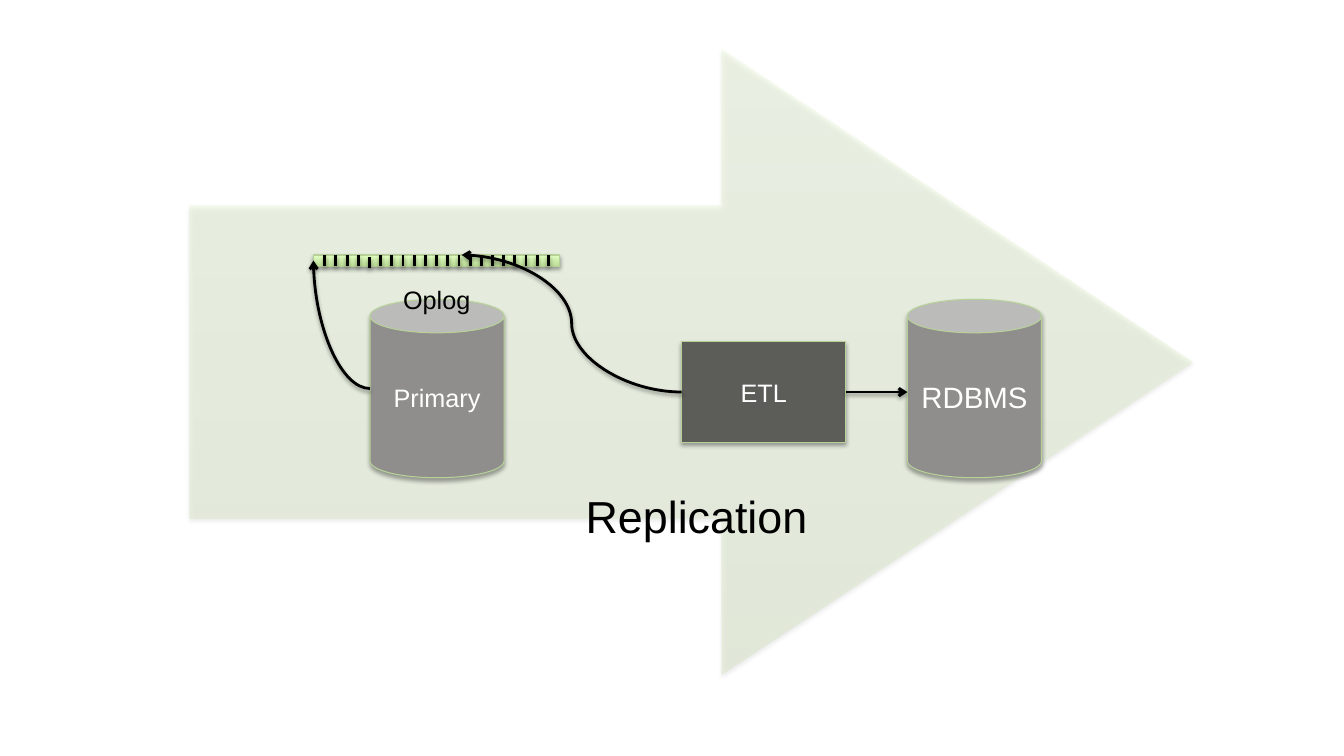
from dataclasses import dataclass

from lxml.etree import SubElement
from pptx import Presentation
from pptx.dml.color import RGBColor
from pptx.enum.shapes import MSO_CONNECTOR, MSO_SHAPE
from pptx.enum.text import MSO_ANCHOR, MSO_AUTO_SIZE, PP_ALIGN
from pptx.oxml.ns import qn
from pptx.util import Inches, Pt


@dataclass(frozen=True)
class Theme:
    """Colours, font and sizes of the slide."""
    font: str = "Arial"
    ink: str = "000000"
    paper: str = "FFFFFF"
    leaf: str = "BCDC96"
    mint: str = "E1FFC2"
    edge: str = "B7D199"
    store: str = "8F8E8D"
    process: str = "5C5C59"
    label: int = 18
    store_label: int = 21
    title: int = 32
    hairline: float = 0.75
    stroke: float = 2


THEME = Theme()


def rgb(value):
    """Turn a hex string into a colour."""
    return RGBColor.from_string(value)


def add_shadow(sp_pr, opacity, dist):
    """Put a soft downward shadow on a shape's properties."""
    effects = sp_pr.find(qn("a:effectLst"))
    if effects is None:
        effects = SubElement(sp_pr, qn("a:effectLst"))
    shadow = SubElement(effects, qn("a:outerShdw"), blurRad=str(Pt(3.1)),
                        dist=str(Pt(dist)), dir="5400000", rotWithShape="0")
    color = SubElement(shadow, qn("a:srgbClr"), val=THEME.ink)
    SubElement(color, qn("a:alpha"), val=str(opacity * 1000))


def add_shape(s, kind, box, fill=None, opacity=100, edge=THEME.edge):
    """Add a shadowed shape with a solid fill, or the green gradient."""
    sp = s.shapes.add_shape(kind, *map(Inches, box))
    if fill:
        sp.fill.solid()
        sp.fill.fore_color.rgb = rgb(fill)
    else:
        sp.fill.gradient()
        sp.fill.gradient_angle = 90
        for stop, color in zip(sp.fill.gradient_stops, (THEME.leaf, THEME.mint)):
            stop.color.rgb = rgb(color)
        if opacity < 100:
            for color in sp._element.spPr.iter(qn("a:srgbClr")):
                SubElement(color, qn("a:alpha"), val=str(opacity * 1000))
    if edge:
        sp.line.color.rgb = rgb(edge)
        sp.line.width = Pt(THEME.hairline)
    else:
        sp.line.fill.background()
    sp.shadow.inherit = False
    add_shadow(sp._element.spPr, 35, 1.8)
    return sp


def add_line(s, start, end, kind=MSO_CONNECTOR.STRAIGHT, arrow=False):
    """Add a shadowed black connector, with an arrowhead at its end if asked."""
    c = s.shapes.add_connector(kind, *map(Inches, (*start, *end)))
    c.line.color.rgb = rgb(THEME.ink)
    c.line.width = Pt(THEME.stroke)
    if arrow:
        SubElement(c.line._get_or_add_ln(), qn("a:tailEnd"), type="arrow")
    add_shadow(c._element.spPr, 38, 1.6)
    return c


def write(sp, text, size=THEME.label, color=THEME.paper,
          align=PP_ALIGN.CENTER, anchor=MSO_ANCHOR.MIDDLE):
    """Write one formatted line of text into a shape."""
    tf = sp.text_frame
    tf.vertical_anchor = anchor
    p = tf.paragraphs[0]
    p.alignment = align
    r = p.add_run()
    r.text = text
    r.font.name = THEME.font
    r.font.size = Pt(size)
    r.font.color.rgb = rgb(color)


def add_caption(s, text, box, size=THEME.label):
    """Add a free-standing black label."""
    sp = s.shapes.add_textbox(*map(Inches, box))
    sp.text_frame.word_wrap = False
    sp.text_frame.auto_size = MSO_AUTO_SIZE.SHAPE_TO_FIT_TEXT
    write(sp, text, size=size, color=THEME.ink, align=PP_ALIGN.LEFT,
          anchor=MSO_ANCHOR.TOP)


def draw_backdrop(s, box):
    """Draw the pale replication arrow behind everything."""
    sp = add_shape(s, MSO_SHAPE.RIGHT_ARROW, box, opacity=22, edge=None)
    sp.adjustments[0] = 0.5
    sp.adjustments[1] = 0.753


def draw_database(s, box, name, size=THEME.label):
    """Draw a named database cylinder."""
    sp = add_shape(s, MSO_SHAPE.CAN, box, THEME.store)
    tf = sp.text_frame
    tf.margin_left = tf.margin_right = Inches(0.13)
    tf.margin_top = tf.margin_bottom = Inches(0.07)
    write(sp, name, size=size)


def draw_oplog(s, box, slots=22, low_tick=5):
    """Draw the oplog strip, cut into equal slots by ticks."""
    left, top, width, height = box
    add_shape(s, MSO_SHAPE.RECTANGLE, box)
    for i in range(slots - 1, 0, -1):
        x = left + width * i / slots
        y = top + (0.02 if i == low_tick else 0)
        add_line(s, (x, y), (x, y + height))


def draw_etl(s, box, oplog_entry, target_x):
    """Draw the ETL step with its arrows to the oplog and the target."""
    left, top, width, height = box
    middle = top + height / 2
    sp = add_shape(s, MSO_SHAPE.RECTANGLE, box, THEME.process)
    write(sp, "ETL")
    c = add_line(s, (left + width, middle), (target_x, middle), arrow=True)
    c.begin_connect(sp, 3)
    add_line(s, (left, middle), oplog_entry, MSO_CONNECTOR.CURVE, arrow=True)


def draw_log_write(s, start, end):
    """Draw the quarter-turn arrow from the primary to the oplog."""
    c = add_line(s, start, end, MSO_CONNECTOR.CURVE, arrow=True)
    c._element.spPr.find(qn("a:prstGeom")).set("prst", "curvedConnector2")


def build_slide(prs):
    """Lay out the replication diagram."""
    s = prs.slides.add_slide(prs.slide_layouts[6])
    primary = (3.67, 2.97, 1.33, 1.77)
    rdbms = (9, 2.97, 1.33, 1.77)
    oplog = (3.11, 2.53, 2.44, 0.11)
    draw_backdrop(s, (1.88, 0.49, 9.95, 6.21))
    draw_database(s, rdbms, "RDBMS", size=THEME.store_label)
    draw_database(s, primary, "Primary")
    draw_oplog(s, oplog)
    draw_etl(s, (6.76, 3.39, 1.63, 1), (4.58, oplog[1]), rdbms[0])
    draw_log_write(s, (primary[0], primary[1] + primary[3] / 2),
                   (oplog[0], oplog[1] + oplog[3] / 2))
    add_caption(s, "Oplog", (3.9, 2.77, 0.88, 0.4))
    add_caption(s, "Replication", (5.71, 4.8, 2.42, 0.64), size=THEME.title)


def main():
    """Build and save the presentation."""
    prs = Presentation()
    prs.slide_width, prs.slide_height = Inches(13.33), Inches(7.5)
    build_slide(prs)
    prs.save("out.pptx")


if __name__ == "__main__":
    main()
